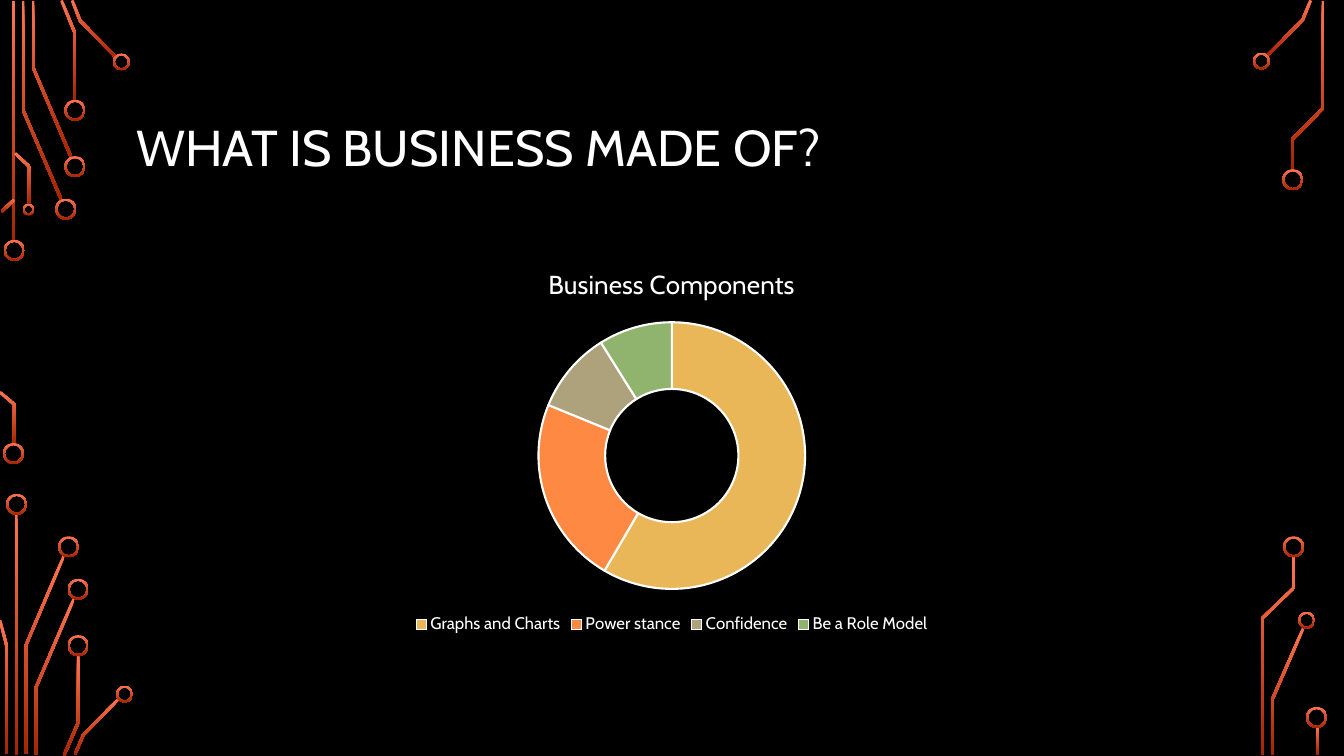
"""Build a dark slide with circuit traces and a doughnut of business components."""
from pptx import Presentation
from pptx.chart.data import CategoryChartData
from pptx.dml.color import RGBColor
from pptx.enum.chart import XL_CHART_TYPE, XL_LEGEND_POSITION
from pptx.enum.shapes import MSO_SHAPE
from pptx.enum.text import MSO_ANCHOR, PP_ALIGN
from pptx.util import Cm, Pt

DONUT = MSO_SHAPE.DONUT
RING_CHART = XL_CHART_TYPE.DOUGHNUT
BOTTOM = XL_LEGEND_POSITION.BOTTOM
MIDDLE = MSO_ANCHOR.MIDDLE
LEFT = PP_ALIGN.LEFT

FONT = "Cabin"
COLORS = {"back": "000000", "text": "FFFFFF", "glow": "FF744E", "ember": "A62400"}
TRACE = 0.07  # width of a trace, cm
WALL = 0.05  # wall of a ring, cm

# Centre lines of the circuit traces, cm
TRACES = [
    # top left
    [(0.34, 0.03), (0.34, 6.1)],
    [(1.55, 5.04), (0.58, 2.77), (0.58, 0.03)],
    [(1.8, 3.98), (0.83, 1.69), (0.83, 0.03)],
    [(1.89, 2.54), (1.89, 0.84), (1.55, 0.01)],
    [(2.93, 1.45), (2.02, 0.52), (1.82, 0.01)],
    [(0.04, 5.33), (0.36, 5.03)],
    [(0.74, 5.16), (0.74, 4.2), (0.38, 3.86)],
    # bottom left
    [(0.36, 11.2), (0.36, 10.19), (0, 9.88)],
    [(0.41, 12.95), (0.41, 19.02)],
    [(0.65, 19), (0.65, 16.27), (1.61, 14.01)],
    [(0.17, 19), (0.17, 16.28), (0, 15.63)],
    [(0.9, 19.02), (0.9, 17.34), (1.87, 15.07)],
    [(1.61, 19.04), (1.97, 18.21), (1.97, 16.51)],
    [(1.89, 19.01), (2.1, 18.52), (3, 17.6)],
    # top right
    [(31.93, 1.41), (32.83, 0.5), (33.03, 0.01)],
    [(32.56, 4.29), (32.56, 3.52), (33.34, 2.73), (33.34, 0.03)],
    # bottom right
    [(32.07, 19.02), (32.07, 17.61), (32.84, 15.84)],
    [(31.81, 19.02), (31.81, 15.58), (32.6, 14.82), (32.6, 14.02)],
    [(33.21, 18.31), (33.21, 19.02)],
]

# Ring centres by diameter, cm
RINGS = {
    0.53: [(0.36, 6.31), (0.34, 11.43), (1.66, 5.27), (1.89, 4.2),
           (1.89, 2.78), (0.42, 12.71), (1.73, 13.78), (1.97, 14.85),
           (1.97, 16.27), (32.58, 4.53), (32.6, 13.78), (33.18, 18.08)],
    0.43: [(3.06, 1.56), (3.14, 17.49), (31.79, 1.54), (32.93, 15.63)],
    0.3: [(0.72, 5.28)],
}

# Slice name, value, colour
SLICES = [
    ("Graphs and Charts", 59, "E9B758"),
    ("Power stance", 23, "FE8943"),
    ("Confidence", 10, "AEA27C"),
    ("Be a Role Model", 9, "90B46E"),
]


def rgb(name):
    """Return the colour of that name."""
    return RGBColor.from_string(COLORS[name])


def set_font(font, size):
    """Give a font the slide's face and colour."""
    font.name, font.size, font.bold = FONT, Pt(size), False
    font.color.rgb = rgb("text")


def glow(shape):
    """Fill a shape from light at the top to dark, with no outline."""
    shape.shadow.inherit = False
    shape.line.fill.background()
    shape.fill.gradient()
    shape.fill.gradient_angle = 270
    for stop, name, place in zip(shape.fill.gradient_stops, ("glow", "ember"), (0, 1)):
        stop.color.rgb = rgb(name)
        stop.position = place


def outline(points):
    """Return the corners of a band of trace width around a centre line."""
    spots = [complex(*point) for point in points]
    ways = [(b - a) / abs(b - a) for a, b in zip(spots, spots[1:])]
    near, far = [], []
    for spot, way, turn in zip(spots, ways[:1] + ways, ways + ways[-1:]):
        miter = 1j * (way + turn) / (1 + (way * turn.conjugate()).real)
        near.append(spot + miter * TRACE / 2)
        far.append(spot - miter * TRACE / 2)
    return [(Cm(spot.real), Cm(spot.imag)) for spot in near + far[::-1]]


def add_trace(slide, points):
    """Draw one circuit trace."""
    first, *rest = outline(points)
    pen = slide.shapes.build_freeform(*first, scale=1.0)
    pen.add_line_segments(rest, close=True)
    glow(pen.convert_to_shape())


def add_ring(slide, x, y, size):
    """Draw one ring around its centre."""
    ring = slide.shapes.add_shape(
        DONUT, Cm(x - size / 2), Cm(y - size / 2), Cm(size), Cm(size))
    ring.adjustments[0] = WALL / size
    glow(ring)


def set_title(slide, text):
    """Place and format the slide title."""
    title = slide.shapes.title
    title.left, title.top, title.width, title.height = Cm(3.18), Cm(1.73), Cm(27.5), Cm(4.1)
    frame = title.text_frame
    frame.text = text
    frame.word_wrap = True
    frame.vertical_anchor = MIDDLE
    line = frame.paragraphs[0]
    line.alignment, line.line_spacing = LEFT, 0.9
    set_font(line.font, 36)


def add_donut(slide, name):
    """Add the doughnut chart with its title and legend."""
    data = CategoryChartData()
    data.categories = [label for label, _, _ in SLICES]
    data.add_series(name, [value for _, value, _ in SLICES])
    chart = slide.shapes.add_chart(
        RING_CHART, Cm(3.18), Cm(6.25), Cm(27.5), Cm(9.83), data).chart
    set_font(chart.font, 10)

    chart.has_title = True
    head = chart.chart_title
    head.include_in_layout = False
    head.text_frame.text = name
    set_font(head.text_frame.paragraphs[0].font, 18.6)

    chart.has_legend = True
    chart.legend.position = BOTTOM
    chart.legend.include_in_layout = False
    set_font(chart.legend.font, 12)

    plot = chart.plots[0]
    plot.vary_by_categories = True
    plot.has_data_labels = False
    for hole in plot._element.xpath("c:holeSize"):
        hole.set("val", "75")
    for index, (_, _, color) in enumerate(SLICES):
        form = plot.series[0].points[index].format
        form.fill.solid()
        form.fill.fore_color.rgb = RGBColor.from_string(color)
        form.line.color.rgb = rgb("text")
        form.line.width = Pt(1.5)


def main():
    """Build and save the slide."""
    deck = Presentation()
    deck.slide_width, deck.slide_height = Cm(33.87), Cm(19.05)
    slide = deck.slides.add_slide(deck.slide_layouts[5])
    slide.background.fill.solid()
    slide.background.fill.fore_color.rgb = rgb("back")
    for points in TRACES:
        add_trace(slide, points)
    for size, spots in RINGS.items():
        for x, y in spots:
            add_ring(slide, x, y, size)
    set_title(slide, "WHAT IS BUSINESS MADE OF?")
    add_donut(slide, "Business Components")
    deck.save("out.pptx")


main()
